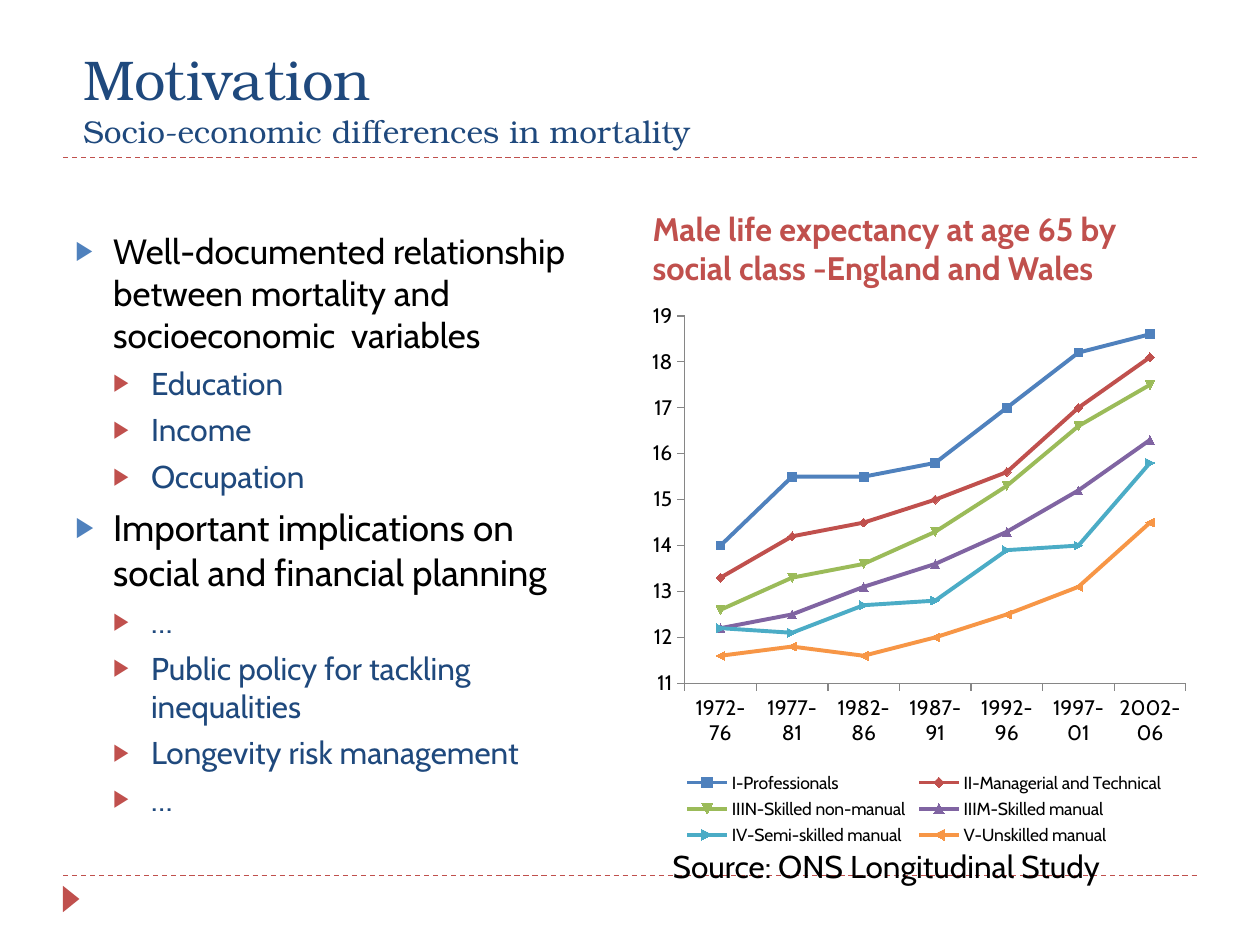
from copy import deepcopy

from lxml.etree import SubElement
from pptx import Presentation
from pptx.chart.data import CategoryChartData
from pptx.dml.color import RGBColor
from pptx.enum.chart import XL_CHART_TYPE, XL_LEGEND_POSITION, XL_TICK_MARK
from pptx.enum.dml import MSO_LINE
from pptx.enum.shapes import MSO_CONNECTOR, MSO_SHAPE
from pptx.enum.text import MSO_ANCHOR, MSO_AUTO_SIZE, PP_ALIGN
from pptx.oxml import parse_xml
from pptx.oxml.ns import nsdecls, qn
from pptx.util import Pt

BLUE, RED, NAVY, BLACK, GREY = "4F81BD", "C0504D", "1F497D", "000000", "868686"
BODY_FONT, TITLE_FONT = "Cabin", "TeX Gyre Bonum"

BULLETS = [
    (0, "Well-documented relationship between mortality and socioeconomic  variables", 20),
    (1, "Education", 18),
    (1, "Income", 18),
    (1, "Occupation", 18),
    (0, "Important implications on social and financial planning", 21),
    (1, "…", 18),
    (1, "Public policy for tackling inequalities", 18),
    (1, "Longevity risk management", 18),
    (1, "…", 18),
]
PERIODS = ["1972-76", "1977-81", "1982-86", "1987-91", "1992-96", "1997-01", "2002-06"]
CLASSES = [
    ("I-Professionals", BLUE, [14, 15.5, 15.5, 15.8, 17, 18.2, 18.6]),
    ("II-Managerial and Technical", RED, [13.3, 14.2, 14.5, 15, 15.6, 17, 18.1]),
    ("IIIN-Skilled non-manual", "9BBB59", [12.6, 13.3, 13.6, 14.3, 15.3, 16.6, 17.5]),
    ("IIIM-Skilled manual", "8064A2", [12.2, 12.5, 13.1, 13.6, 14.3, 15.2, 16.3]),
    ("IV-Semi-skilled manual", "4BACC6", [12.2, 12.1, 12.7, 12.8, 13.9, 14, 15.8]),
    ("V-Unskilled manual", "F79646", [11.6, 11.8, 11.6, 12, 12.5, 13.1, 14.5]),
]


def color(value):
    return RGBColor.from_string(value)


def style_font(font, size, ink=BLACK, name=BODY_FONT, bold=False):
    font.size, font.name, font.bold = Pt(size), name, bold
    font.color.rgb = color(ink)


def add_text(para, text, before=0, **style):
    para.alignment = PP_ALIGN.LEFT
    para.space_before = Pt(before)
    span = para.add_run()
    span.text = text
    style_font(span.font, **style)
    return span


def add_bullet(para, level, ink):
    para.level = level
    properties = para._p.get_or_add_pPr()
    properties.set("marL", str(Pt(21.6 * (level + 1))))
    properties.set("indent", str(-Pt(21.6)))
    tint = SubElement(properties, qn("a:buClr"))
    SubElement(tint, qn("a:srgbClr")).set("val", ink)
    SubElement(properties, qn("a:buSzPct")).set("val", "76000")
    SubElement(properties, qn("a:buFont")).set("typeface", "Arial")
    SubElement(properties, qn("a:buChar")).set("char", "▶")


def manual_layout(left, top, width, height, inner=False):
    target = '<c:layoutTarget val="inner"/>' if inner else ""
    return parse_xml(
        f'<c:layout {nsdecls("c")}><c:manualLayout>{target}'
        '<c:xMode val="edge"/><c:yMode val="edge"/>'
        f'<c:x val="{left}"/><c:y val="{top}"/><c:w val="{width}"/><c:h val="{height}"/>'
        "</c:manualLayout></c:layout>"
    )


class SlideBuilder:
    def __init__(self, deck):
        self.page = deck.slides.add_slide(deck.slide_layouts[5])
        self.shapes = self.page.shapes

    def title(self, left, top, width, height, heading, subtitle):
        box = self.shapes.title
        box.left, box.top, box.width, box.height = map(Pt, (left, top, width, height))
        frame = box.text_frame
        frame.auto_size = MSO_AUTO_SIZE.NONE
        frame.vertical_anchor = MSO_ANCHOR.MIDDLE
        para = frame.paragraphs[0]
        span = add_text(para, heading, size=32, ink=NAVY, name=TITLE_FONT)
        para.add_line_break()
        para._p.findall(qn("a:br"))[0].append(deepcopy(span._r.rPr))
        add_text(para, subtitle, size=18, ink=NAVY, name=TITLE_FONT)

    def text_box(self, left, top, width, height, anchor=MSO_ANCHOR.TOP):
        box = self.shapes.add_textbox(Pt(left), Pt(top), Pt(width), Pt(height))
        frame = box.text_frame
        frame.word_wrap = True
        frame.vertical_anchor = anchor
        return frame

    def bullets(self, left, top, width, height, items):
        frame = self.text_box(left, top, width, height)
        for index, (level, text, size) in enumerate(items):
            para = frame.add_paragraph() if index else frame.paragraphs[0]
            add_text(para, text, before=6 - level, size=size, ink=NAVY if level else BLACK)
            add_bullet(para, level, RED if level else BLUE)

    def rule(self, left, top, width):
        line = self.shapes.add_connector(
            MSO_CONNECTOR.STRAIGHT, Pt(left), Pt(top), Pt(left + width), Pt(top))
        line.line.color.rgb = color(RED)
        line.line.width = Pt(0.75)
        line.line.dash_style = MSO_LINE.DASH
        SubElement(line._element.spPr, qn("a:effectLst"))

    def page_marker(self, left, top, width, height):
        marker = self.shapes.add_shape(
            MSO_SHAPE.ISOSCELES_TRIANGLE, Pt(left), Pt(top), Pt(width), Pt(height))
        marker.rotation = 90
        marker.shadow.inherit = False
        marker.fill.solid()
        marker.fill.fore_color.rgb = color(RED)
        marker.line.fill.background()

    def line_chart(self, left, top, width, height, categories, series):
        data = CategoryChartData()
        data.categories = categories
        for name, _, values in series:
            data.add_series(name, values)
        chart = self.shapes.add_chart(
            XL_CHART_TYPE.LINE_MARKERS, Pt(left), Pt(top), Pt(width), Pt(height), data).chart
        chart.has_title = False
        style_font(chart.font, 10)
        plot = chart.plots[0]
        plot.vary_by_categories = False
        for line, (_, ink, _) in zip(plot.series, series):
            line.smooth = False
            line.format.line.color.rgb = color(ink)
            line.format.line.width = Pt(2.25)
            line.marker.format.fill.solid()
            line.marker.format.fill.fore_color.rgb = color(ink)
            line.marker.format.line.color.rgb = color(ink)
        for axis in (chart.category_axis, chart.value_axis):
            axis.has_major_gridlines = False
            axis.major_tick_mark = XL_TICK_MARK.OUTSIDE
            axis.minor_tick_mark = XL_TICK_MARK.NONE
            axis.format.line.color.rgb = color(GREY)
            style_font(axis.tick_labels.font, 12)
        scale = chart.value_axis
        scale.minimum_scale, scale.maximum_scale, scale.major_unit = 11, 19, 1
        chart.has_legend = True
        legend = chart.legend
        legend.position = XL_LEGEND_POSITION.BOTTOM
        legend.include_in_layout = False
        style_font(legend.font, 10)
        area = chart._chartSpace.chart.plotArea
        for old in area.findall(qn("c:layout")):
            area.remove(old)
        area.insert(0, manual_layout(0.08, 0.04, 0.9, 0.66, inner=True))
        for old in legend._element.findall(qn("c:layout")):
            legend._element.remove(old)
        legend._element.find(qn("c:legendPos")).addnext(manual_layout(0.07, 0.85, 0.88, 0.15))


def main():
    deck = Presentation()
    deck.slide_width, deck.slide_height = Pt(720), Pt(540)
    slide = SlideBuilder(deck)
    for top in (500.4, 90):
        slide.rule(36, top, 648)
    slide.page_marker(33.1, 509, 15.1, 9.4)
    slide.bullets(36, 127.4, 318.2, 374.4, BULLETS)
    slide.line_chart(365.8, 167.8, 318.2, 318.2, PERIODS, CLASSES)
    heading = slide.text_box(365.8, 113.8, 318.2, 54, MSO_ANCHOR.BOTTOM)
    add_text(heading.paragraphs[0],
             "Male life expectancy at age 65 by social class -England and Wales",
             before=6, size=18.6, ink=RED, bold=True)
    source = slide.text_box(377.3, 480.2, 301, 30.2)
    source.auto_size = MSO_AUTO_SIZE.SHAPE_TO_FIT_TEXT
    add_text(source.paragraphs[0], "Source: ONS Longitudinal Study", size=18)
    slide.title(40.3, 25.9, 654.5, 59, "Motivation", "Socio-economic differences in mortality")
    deck.save("out.pptx")


if __name__ == "__main__":
    main()
